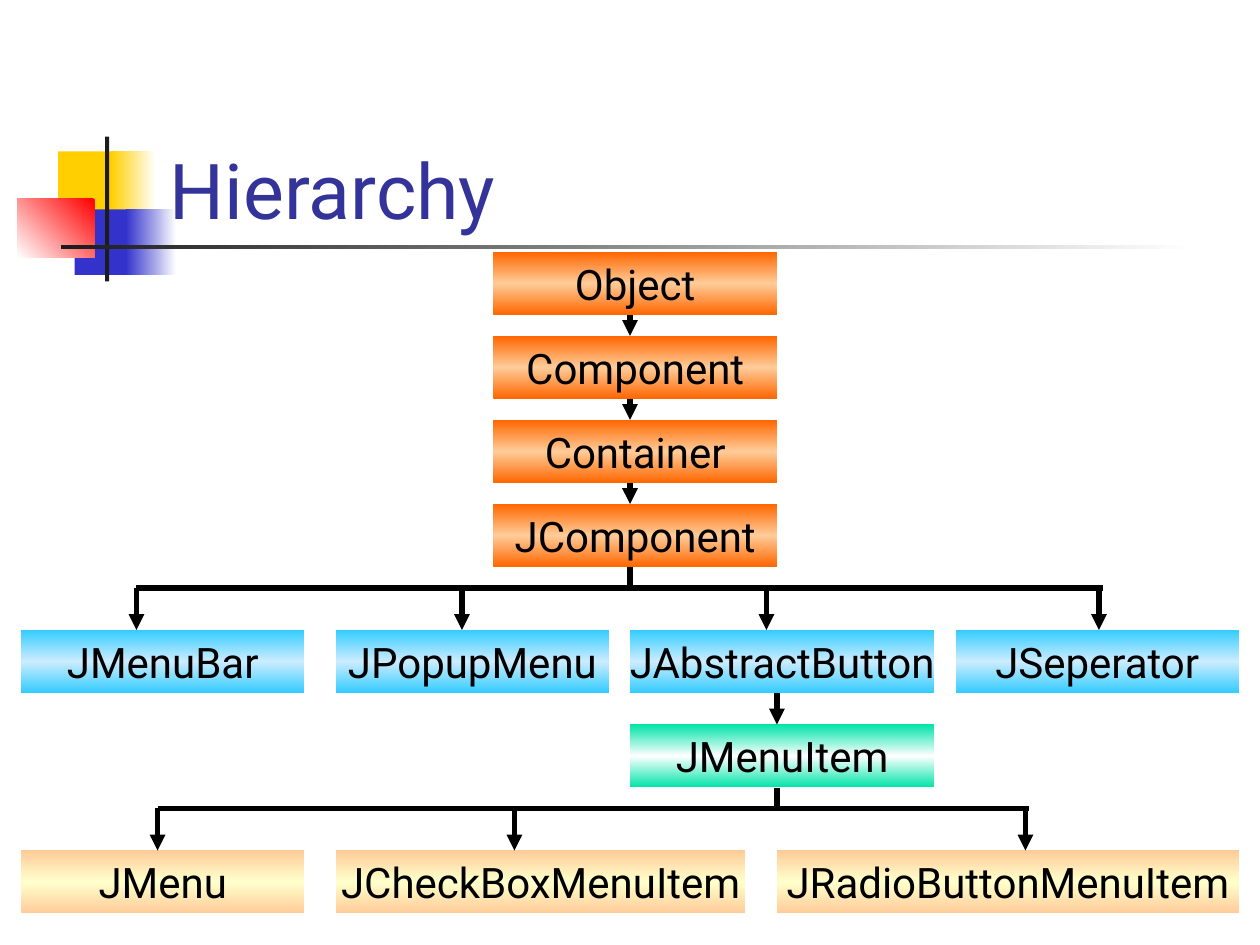
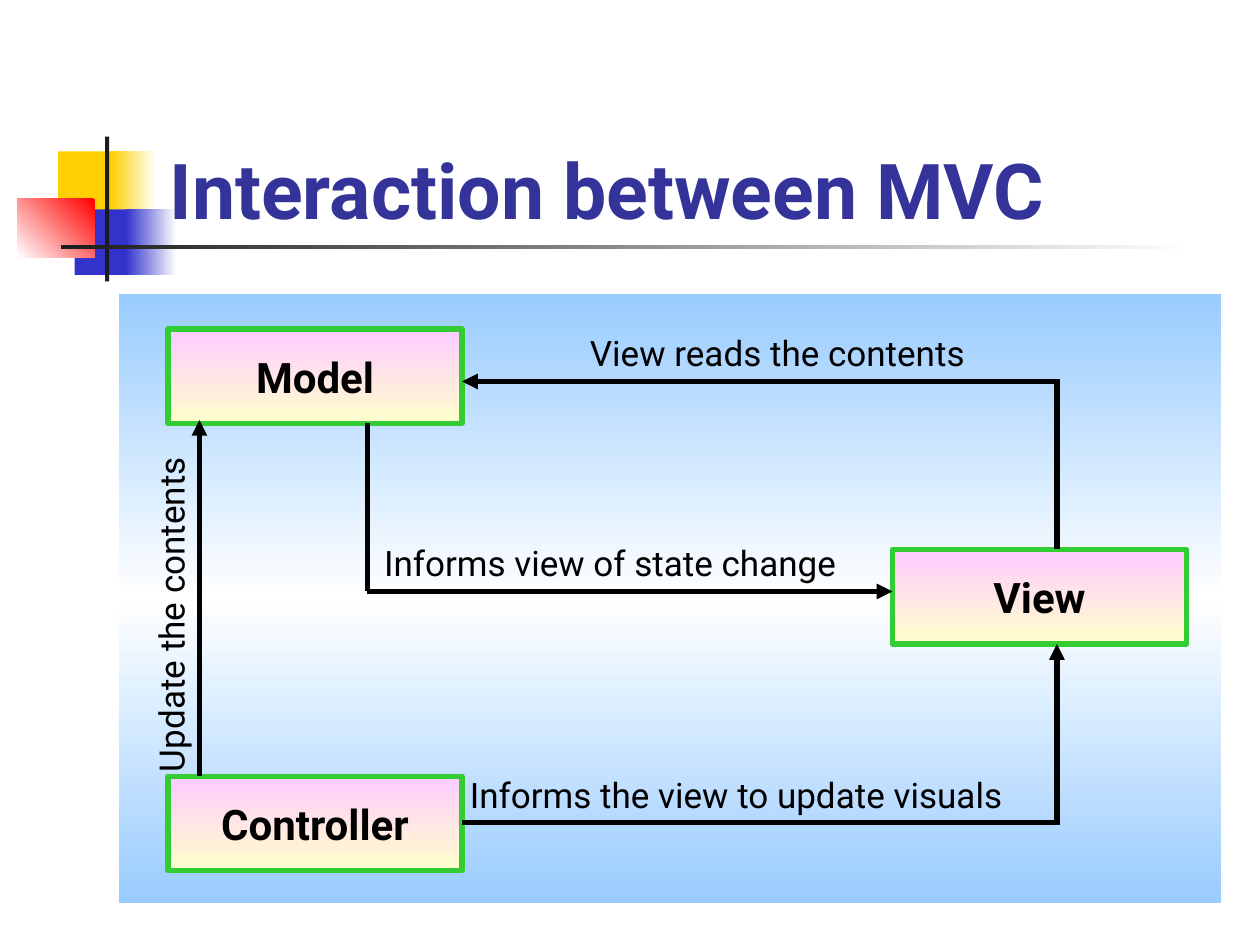
import copy
from dataclasses import dataclass

import pptx
import pptx.util
from lxml import etree
from pptx.dml.color import RGBColor
from pptx.enum.shapes import MSO_CONNECTOR, MSO_SHAPE
from pptx.enum.text import MSO_ANCHOR, PP_ALIGN
from pptx.oxml.ns import qn

Pt = pptx.util.Pt


@dataclass(frozen=True)
class Theme:
    font: str = "Roboto"
    head: str = "333399"
    ink: str = "000000"
    dark: str = "1C1C1C"
    white: str = "FFFFFF"
    gold: str = "FFCF01"
    blue: str = "3333CC"
    red: str = "FF0000"
    edge: str = "33CC33"
    # Gradients, from first stop to last
    orange: tuple = ("FF6600", "FFCC99", "FF6600")
    sky: tuple = ("33CCFF", "CCECFF", "33CCFF")
    mint: tuple = ("00E4A8", "FFFFFF", "00E4A8")
    sand: tuple = ("FFCC99", "FFFFCC", "FFCC99")
    panel: tuple = ("99CCFF", "FFFFFF", "99CCFF")
    blush: tuple = ("FFCCFF", "FFFFCC")
    big: int = 44
    mid: int = 24
    small: int = 20
    line: int = 3


T = Theme()


# Basic elements
def rgb(code):
    return RGBColor.from_string(code)


def blend(shape, tones, angle):
    """Fill with evenly spaced stops; angle runs clockwise."""
    fill = shape.fill
    fill.gradient()
    fill.gradient_angle = (360 - angle) % 360
    stops = shape._element.spPr.find(qn("a:gradFill")).find(qn("a:gsLst"))
    while len(stops) < len(tones):
        stops.append(copy.deepcopy(stops[0]))
    for i, (stop, tone) in enumerate(zip(fill.gradient_stops, tones)):
        stop.position = i / (len(tones) - 1)
        stop.color.rgb = rgb(tone)


def block(slide, x, y, w, h, paint, angle=90, edge=None):
    """Rectangle with a plain colour or a gradient."""
    shape = slide.shapes.add_shape(MSO_SHAPE.RECTANGLE, Pt(x), Pt(y), Pt(w), Pt(h))
    shape.shadow.inherit = False
    if isinstance(paint, str):
        shape.fill.solid()
        shape.fill.fore_color.rgb = rgb(paint)
    else:
        blend(shape, paint, angle)
    if edge:
        shape.line.color.rgb = rgb(edge)
        shape.line.width = Pt(T.line)
    else:
        shape.line.fill.background()
    return shape


def write(shape, text, size, color=T.ink, bold=False, align=PP_ALIGN.LEFT,
          anchor=MSO_ANCHOR.TOP, wrap=True):
    frame = shape.text_frame
    frame.text = text
    frame.word_wrap = wrap
    frame.vertical_anchor = anchor
    para = frame.paragraphs[0]
    para.alignment = align
    font = para.runs[0].font
    font.name, font.size, font.bold = T.font, Pt(size), bold
    font.color.rgb = rgb(color)


def node(slide, text, x, y, w, h, paint, edge=None, bold=False):
    shape = block(slide, x, y, w, h, paint, edge=edge)
    write(shape, text, T.mid, bold=bold, align=PP_ALIGN.CENTER,
          anchor=MSO_ANCHOR.MIDDLE, wrap=False)


def label(slide, text, x, y, w, turn=0):
    box = slide.shapes.add_textbox(Pt(x), Pt(y), Pt(w), Pt(31.5))
    box.rotation = turn
    write(box, text, T.small)


def link(slide, x1, y1, x2, y2, arrow=False):
    """Straight line, with an optional arrowhead at its end."""
    wire = slide.shapes.add_connector(
        MSO_CONNECTOR.STRAIGHT, Pt(x1), Pt(y1), Pt(x2), Pt(y2))
    wire.line.color.rgb = rgb(T.ink)
    wire.line.width = Pt(T.line)
    props = wire._element.spPr
    if arrow:
        etree.SubElement(props.find(qn("a:ln")), qn("a:tailEnd"), type="triangle")
    etree.SubElement(props, qn("a:effectLst"))


# Shared slide parts
def start(deck):
    """New slide with the coloured squares and crossed bars."""
    slide = deck.slides.add_slide(deck.slide_layouts[6])
    for x, y, w, h, paint, angle in (
        (33.2, 86.5, 34.5, 37.4, T.gold, 0),
        (63.4, 86.5, 25.6, 37.4, (T.white, T.gold), 180),
        (42.7, 119.7, 33.1, 37.4, T.blue, 0),
        (72, 119.7, 28.8, 37.4, (T.white, T.blue), 180),
        (9.9, 113.6, 44.2, 33.4, (T.red, T.white), 135),
        (60, 78, 2.4, 82.8, T.dark, 0),
        (34.8, 140, 648, 2.5, (T.white, T.dark), 180),
    ):
        block(slide, x, y, w, h, paint, angle)
    return slide


def title(slide, text, bold=False):
    box = slide.shapes.add_textbox(Pt(90), Pt(48), Pt(612), Pt(90))
    write(box, text, T.big, T.head, bold, anchor=MSO_ANCHOR.BOTTOM)


# Class tree
def row(slide, y, paint, items):
    for text, x, w in items:
        node(slide, text, x, y, w, 36, paint)


def fork(slide, stem, top, bar, base, drops, right):
    """Stem down to a bar, then one arrow for each child."""
    link(slide, drops[0], bar, right, bar)
    link(slide, stem, top, stem, bar)
    for x in drops:
        link(slide, x, bar, x, base, True)


def tree(deck):
    slide = start(deck)
    title(slide, "Hierarchy")
    chain = ("Object", "Component", "Container", "JComponent")
    for i, text in enumerate(chain):
        y = 144 + 48 * i
        node(slide, text, 282, y, 162, 36, T.orange)
        if i:
            link(slide, 360, y - 12, 360, y, True)
    row(slide, 360, T.sky, (
        ("JMenuBar", 12, 162), ("JPopupMenu", 192, 156),
        ("JAbstractButton", 360, 174), ("JSeperator", 546, 162)))
    row(slide, 414, T.mint, (("JMenuItem", 360, 174),))
    row(slide, 486, T.sand, (
        ("JMenu", 12, 162), ("JCheckBoxMenuItem", 192, 234),
        ("JRadioButtonMenuItem", 444, 264)))
    fork(slide, 360, 324, 336, 360, (78, 264, 438, 628), 630)
    link(slide, 444, 396, 444, 414, True)
    fork(slide, 444, 450, 462, 486, (90, 294, 586), 588)


# Model, view and controller
def flow(deck):
    slide = start(deck)
    block(slide, 68, 168, 630, 348, T.panel)
    title(slide, "Interaction between MVC", True)
    for text, x, y in (("Model", 96, 188), ("Controller", 96, 443.5),
                       ("View", 510, 314)):
        node(slide, text, x, y, 168, 54, T.blush, T.edge, True)

    # View to model
    link(slide, 606, 218, 264, 218, True)
    link(slide, 604, 218, 604, 314)
    # Controller to view
    link(slide, 264, 470, 606, 470)
    link(slide, 604, 470, 604, 368, True)
    # Controller to model
    link(slide, 114, 443.5, 114, 240, True)
    # Model to view
    link(slide, 210, 242, 210, 338)
    link(slide, 210, 338, 510, 338, True)

    label(slide, "View reads the contents", 330, 186, 240)
    label(slide, "Informs view of state change", 212.4, 306, 288)
    label(slide, "Informs the view to update visuals", 261.4, 438.5, 338)
    label(slide, "Update the contents", -5.8, 329, 207, 270)


def main():
    deck = pptx.Presentation()
    deck.slide_width, deck.slide_height = Pt(720), Pt(540)
    tree(deck)
    flow(deck)
    deck.save("out.pptx")


if __name__ == "__main__":
    main()
